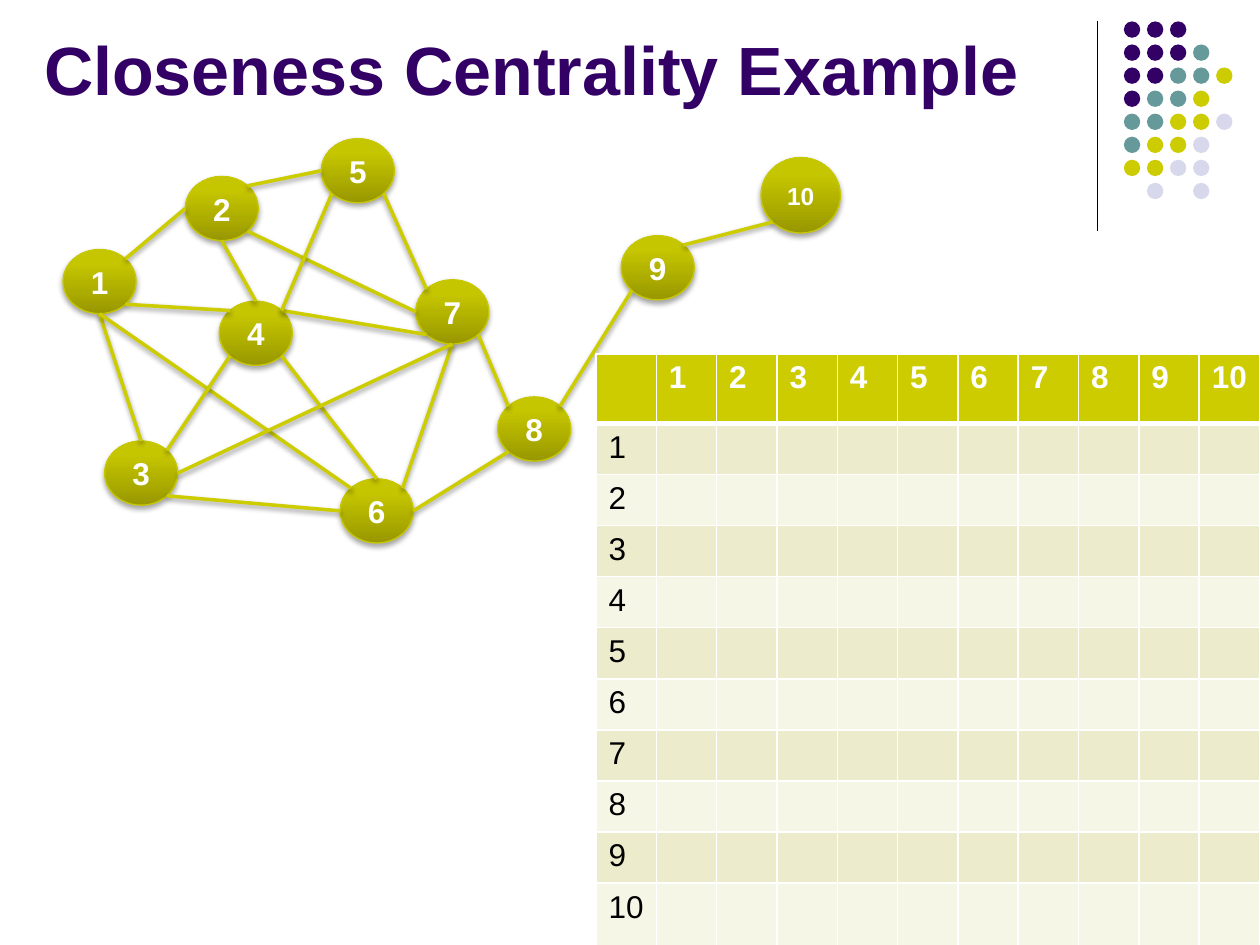
from math import cos, pi, sin

from lxml.etree import SubElement
from pptx import Presentation
from pptx.dml.color import RGBColor
from pptx.enum.shapes import MSO_CONNECTOR as Link, MSO_SHAPE as Kind
from pptx.enum.text import MSO_ANCHOR as Anchor, PP_ALIGN as Align
from pptx.oxml.ns import qn
from pptx.util import Inches, Pt

NODES = {
    1: (0.5, 1.98), 2: (1.47, 1.4), 3: (0.83, 3.5), 4: (1.74, 2.39),
    5: (2.55, 1.1), 6: (2.7, 3.8), 7: (3.3, 2.22), 10: (6.04, 1.25),
    9: (4.93, 1.87), 8: (3.95, 3.15),
}
TOP, TL, LEFT, BL, BOT, BR, RIGHT, TR = range(8)
EDGES = [
    (1, TR, 2, LEFT), (1, BOT, 3, TOP), (1, BR, 4, TL), (4, TOP, 2, BOT),
    (1, BOT, 6, TL), (2, TR, 5, LEFT), (2, BR, 7, LEFT), (4, TR, 7, BL),
    (4, BR, 6, TOP), (6, TR, 7, BOT), (5, BR, 7, TL), (7, BR, 8, TL),
    (6, RIGHT, 8, BL), (8, TR, 9, BL), (9, TR, 10, BL), (3, TR, 4, BL),
    (3, BR, 6, LEFT), (3, RIGHT, 7, BOT), (5, BL, 4, TR),
]
DOTS = ["PPP", "PPPT", "PPTTY", "PTTY", "TTYYL", "TYYL", "YYLL", " L L"]
TINTS = {"P": "330066", "T": "669999", "Y": "CCCC00", "L": "D8D8EC"}


def rgb(code):
    return RGBColor.from_string(code)


def size(num):
    return (0.63, 0.6) if num == 10 else (0.58, 0.51)


def site(num, side):
    (x, y), (w, h) = NODES[num], size(num)
    turn = pi / 2 + side * pi / 4
    return x + w / 2 * (1 + cos(turn)), y + h / 2 * (1 - sin(turn))


class Deck:
    """Holds the style and the current slide."""

    font = "Arial"
    ink = "330066"
    lime = "CCCC00"
    white = "FFFFFF"

    def __init__(self):
        self.prs = Presentation()
        self.prs.slide_width, self.prs.slide_height = Inches(10), Inches(7.5)
        self.slide = self.prs.slides.add_slide(self.prs.slide_layouts[5])
        self.shapes = self.slide.shapes

    def run(self, para, text, pts, color, bold=True):
        run = para.add_run()
        run.text = text
        font = run.font
        font.name, font.size, font.bold = self.font, Pt(pts), bold
        font.color.rgb = rgb(color)

    def title(self, text, x, y, w, h):
        box = self.shapes.title
        box.left, box.top = Inches(x), Inches(y)
        box.width, box.height = Inches(w), Inches(h)
        box.text_frame.vertical_anchor = Anchor.BOTTOM
        para = box.text_frame.paragraphs[0]
        para.alignment = Align.LEFT
        self.run(para, text, 39, self.ink)

    def shade(self, shape, drop, alpha):
        props = shape._element.spPr
        for old in props.findall(qn("a:effectLst")):
            props.remove(old)
        glow = SubElement(props, qn("a:effectLst"))
        if drop:
            cast = SubElement(glow, qn("a:outerShdw"), blurRad=str(Pt(3.1)),
                              dist=str(Pt(drop)), dir="5400000", rotWithShape="0")
            tone = SubElement(cast, qn("a:srgbClr"), val="000000")
            SubElement(tone, qn("a:alpha"), val=str(alpha * 1000))

    def line(self, start, end, color, pts, drop=0, alpha=0):
        ends = [Inches(v) for v in (*start, *end)]
        line = self.shapes.add_connector(Link.STRAIGHT, *ends)
        line.line.color.rgb = rgb(color)
        line.line.width = Pt(pts)
        self.shade(line, drop, alpha)

    def dots(self, x, y, step, wide):
        group = self.shapes.add_group_shape()
        for row, marks in enumerate(DOTS):
            for col, mark in enumerate(marks):
                if mark == " ":
                    continue
                dot = group.shapes.add_shape(
                    Kind.OVAL, Inches(x + col * step), Inches(y + row * step),
                    Inches(wide), Inches(wide))
                dot.shadow.inherit = False
                dot.fill.solid()
                dot.fill.fore_color.rgb = rgb(TINTS[mark])
                dot.line.fill.background()

    def node(self, num):
        box = [Inches(v) for v in (*NODES[num], *size(num))]
        node = self.shapes.add_shape(Kind.OVAL, *box)
        node.fill.gradient()
        node.fill.gradient_angle = 90
        tones = (0, "989800"), (0.8, "C6C600")
        for stop, (spot, color) in zip(node.fill.gradient_stops, tones):
            stop.position = spot
            stop.color.rgb = rgb(color)
        stops = node._element.spPr.find(".//" + qn("a:gsLst"))
        last = SubElement(stops, qn("a:gs"), pos="100000")
        SubElement(last, qn("a:srgbClr"), val="C7C700")
        node.line.color.rgb = rgb("C8C800")
        node.line.width = Pt(0.75)
        self.shade(node, 1.8, 35)
        frame = node.text_frame
        frame.margin_left = frame.margin_right = 0
        frame.vertical_anchor = Anchor.MIDDLE
        para = frame.paragraphs[0]
        para.alignment = Align.CENTER
        self.run(para, str(num), 14 if num == 10 else 18, self.white)

    def edge(self, num, side, goal, face):
        self.line(site(num, side), site(goal, face), self.lime, 2, 1.6, 38)

    def rule(self, cell, top, base):
        props = cell._tc.get_or_add_tcPr()
        sides = ("L", 1), ("R", 1), ("T", top), ("B", base)
        for spot, (side, pts) in enumerate(sides):
            edge = SubElement(props, qn("a:ln" + side), w=str(Pt(pts)))
            fill = SubElement(edge, qn("a:solidFill"))
            SubElement(fill, qn("a:srgbClr"), val=self.white)
            props.insert(spot, edge)

    def grid(self, count, x, y, w, h):
        box = [Inches(v) for v in (x, y, w, h)]
        table = self.shapes.add_table(count, count, *box).table
        for col in table.columns:
            col.width = Inches(w / count)
        for r, row in enumerate(table.rows):
            row.height = Inches(0.55 if r in (0, count - 1) else 0.31)
            tint = ("ECECCC" if r % 2 else "F6F6E7") if r else self.lime
            for c, cell in enumerate(row.cells):
                cell.fill.solid()
                cell.fill.fore_color.rgb = rgb(tint)
                self.rule(cell, 3 if r == 1 else 1, 1 if r else 3)
                if (r == 0) != (c == 0):
                    color = "000000" if r else self.white
                    para = cell.text_frame.paragraphs[0]
                    self.run(para, str(r or c), 18, color, r == 0)


def main():
    deck = Deck()
    deck.line((8.71, 0.17), (8.71, 1.83), "000000", 0.75)
    deck.dots(8.92, 0.17, 0.183, 0.13)
    deck.title("Closeness Centrality Example", 0.25, -0.33, 9, 1.25)
    for num in NODES:
        deck.node(num)
    for edge in EDGES:
        deck.edge(*edge)
    deck.grid(11, 4.73, 2.81, 5.27, 4.69)
    deck.prs.save("out.pptx")


if __name__ == "__main__":
    main()
